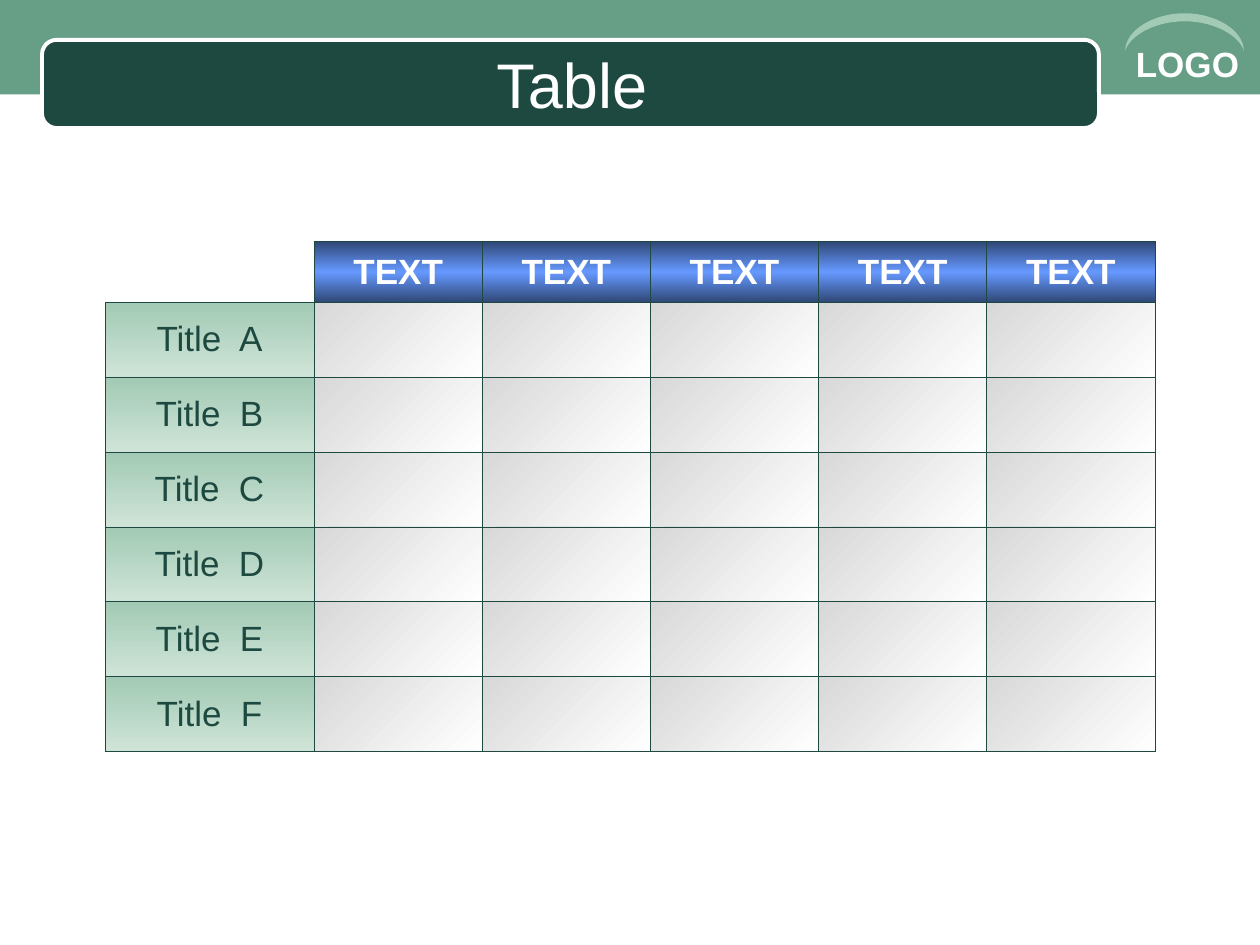
from dataclasses import dataclass

from lxml import etree
from pptx import Presentation
from pptx import util as u
from pptx.dml.color import RGBColor
from pptx.enum import shapes, text
from pptx.oxml import ns

Pt = u.Pt


@dataclass(frozen=True)
class Theme:
    """Colours, gradients and type sizes of the slide."""
    font: str = "Arial"
    white: str = "FFFFFF"
    band: str = "669E86"
    dark: str = "1D4940"
    pale: str = "A2CAB4"
    header_fill: tuple = (90, "2F4776", "6699FF", "2F4776")
    title_fill: tuple = (90, "A2CAB4", "CFE4D8")
    body_fill: tuple = (45, "D8D8D8", "FFFFFF")
    title_size: float = 36
    text_size: float = 20
    grid_width: float = 0.45


T = Theme()
HEADERS = ["TEXT"] * 5
ROW_TITLES = [f"Title  {letter}" for letter in "ABCDEF"]


def apply(obj, **values):
    """Set attributes of an object from format values."""
    for name, value in values.items():
        setattr(obj, name, value)


def write(tf, words, size, color, bold=False, align=text.PP_ALIGN.LEFT, before=0):
    """Put one formatted paragraph into a text frame."""
    p = tf.paragraphs[0]
    apply(p, alignment=align, space_before=Pt(before))
    r = p.add_run()
    r.text = words
    apply(r.font, name=T.font, size=Pt(size), bold=bold)
    r.font.color.rgb = RGBColor.from_string(color)


def paint(sp, fill, line=None, width=0):
    """Give a shape a plain fill and an optional outline."""
    sp.shadow.inherit = False
    sp.fill.solid()
    sp.fill.fore_color.rgb = RGBColor.from_string(fill)
    if line:
        sp.line.color.rgb = RGBColor.from_string(line)
        sp.line.width = Pt(width)
    else:
        sp.line.fill.background()


def add_box(slide, kind, box, **look):
    """Add a painted preset shape."""
    sp = slide.shapes.add_shape(kind, *map(Pt, box))
    paint(sp, **look)
    return sp


def add_label(slide, box, words, size, anchor=text.MSO_ANCHOR.TOP, **look):
    """Add a wrapping text box."""
    tf = slide.shapes.add_textbox(*map(Pt, box)).text_frame
    apply(tf, word_wrap=True, vertical_anchor=anchor)
    write(tf, words, size, T.white, **look)


def curve(a, b, c, d, steps=16):
    """Return points along a cubic Bezier curve."""
    times = [i / steps for i in range(steps + 1)]
    return [tuple((1 - t) ** 3 * a[k] + 3 * (1 - t) ** 2 * t * b[k]
                  + 3 * (1 - t) * t ** 2 * c[k] + t ** 3 * d[k] for k in (0, 1))
            for t in times]


def add_crescent(slide, left, right, base, inner, outer):
    """Add a symmetric arc bounded by an inner and an outer curve."""
    mid = (left + right) / 2

    def half_arcs(top, pull_x, pull_y):
        """Return the left and right halves of one arch."""
        rise = curve((left, base), (left + pull_x, base - pull_y),
                     (mid - 18, top), (mid, top))
        return rise + [(left + right - x, y) for x, y in reversed(rise)]

    outline = half_arcs(outer, 0, 11.5) + half_arcs(inner, 2.5, 8)[::-1]
    points = [(round(x * 100), round(y * 100)) for x, y in outline]
    builder = slide.shapes.build_freeform(*points[0], scale=Pt(1) / 100)
    builder.add_line_segments(points[1:], close=True)
    paint(builder.convert_to_shape(), T.pale)


def add_node(parent, tag, **attrs):
    """Append a DrawingML element."""
    return etree.SubElement(parent, ns.qn(f"a:{tag}"),
                            {k: str(v) for k, v in attrs.items()})


def style_cell(cell, gradient, sides="LRTB"):
    """Set the borders on the given sides and the gradient of a cell."""
    cell.vertical_anchor = text.MSO_ANCHOR.MIDDLE
    tc_pr = cell._tc.get_or_add_tcPr()
    for side in "LRTB":
        ln = add_node(tc_pr, f"ln{side}", w=Pt(T.grid_width))
        if side in sides:
            add_node(add_node(ln, "solidFill"), "srgbClr", val=T.dark)
        else:
            add_node(ln, "noFill")
    if not gradient:
        cell.fill.background()
        return
    angle, *colors = gradient
    grad = add_node(tc_pr, "gradFill", rotWithShape=1)
    stops = add_node(grad, "gsLst")
    for i, color in enumerate(colors):
        stop = add_node(stops, "gs", pos=100000 * i // (len(colors) - 1))
        add_node(stop, "srgbClr", val=color)
    add_node(grad, "lin", ang=angle * 60000, scaled=0)


def add_grid(slide, left, top, widths, heights):
    """Add the table with its header row and title column."""
    frame = slide.shapes.add_table(len(heights), len(widths), Pt(left), Pt(top),
                                   Pt(sum(widths)), Pt(sum(heights)))
    table = frame.table
    apply(table, first_row=False, horz_banding=False)
    for col, width in zip(table.columns, widths):
        col.width = Pt(width)
    for row, height in zip(table.rows, heights):
        row.height = Pt(height)
    label = dict(size=T.text_size, align=text.PP_ALIGN.CENTER, before=5)
    style_cell(table.cell(0, 0), None, sides="RB")
    for c, words in enumerate(HEADERS, 1):
        cell = table.cell(0, c)
        style_cell(cell, T.header_fill)
        write(cell.text_frame, words, color=T.white, bold=True, **label)
    for r, words in enumerate(ROW_TITLES, 1):
        style_cell(table.cell(r, 0), T.title_fill)
        write(table.cell(r, 0).text_frame, words, color=T.dark, **label)
        for c in range(1, len(widths)):
            style_cell(table.cell(r, c), T.body_fill)


def main():
    """Build the slide and save it."""
    prs = Presentation()
    apply(prs, slide_width=Pt(720), slide_height=Pt(540))
    slide = prs.slides.add_slide(prs.slide_layouts[6])
    kinds = shapes.MSO_SHAPE
    add_box(slide, kinds.RECTANGLE, (0, 0, 720.5, 54), fill=T.band)
    add_box(slide, kinds.ROUNDED_RECTANGLE, (24, 22.8, 604, 50.4),
            fill=T.dark, line=T.white, width=2.24)
    add_label(slide, (642, 21, 78, 31.5), "LOGO", T.text_size, bold=True)
    add_crescent(slide, left=643, right=710.8, base=29, inner=12.2, outer=7.6)
    add_label(slide, (36, 25.5, 581.5, 44.6), "Table", T.title_size,
              anchor=text.MSO_ANCHOR.MIDDLE, align=text.PP_ALIGN.CENTER)
    add_grid(slide, 60, 138, [119.5] + [96.1] * len(HEADERS),
             [34.8] + [42.8] * len(ROW_TITLES))
    prs.save("out.pptx")


main()
